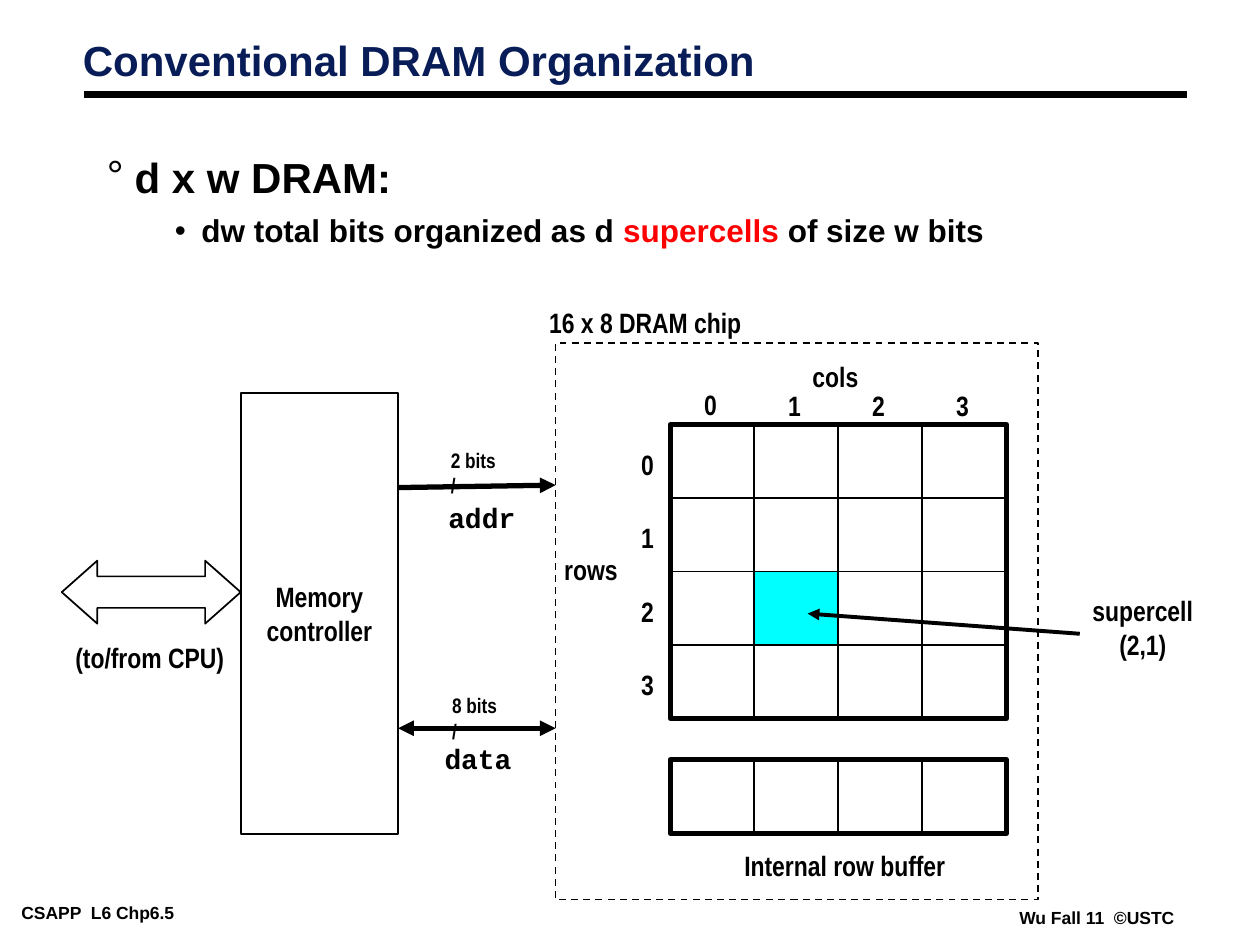
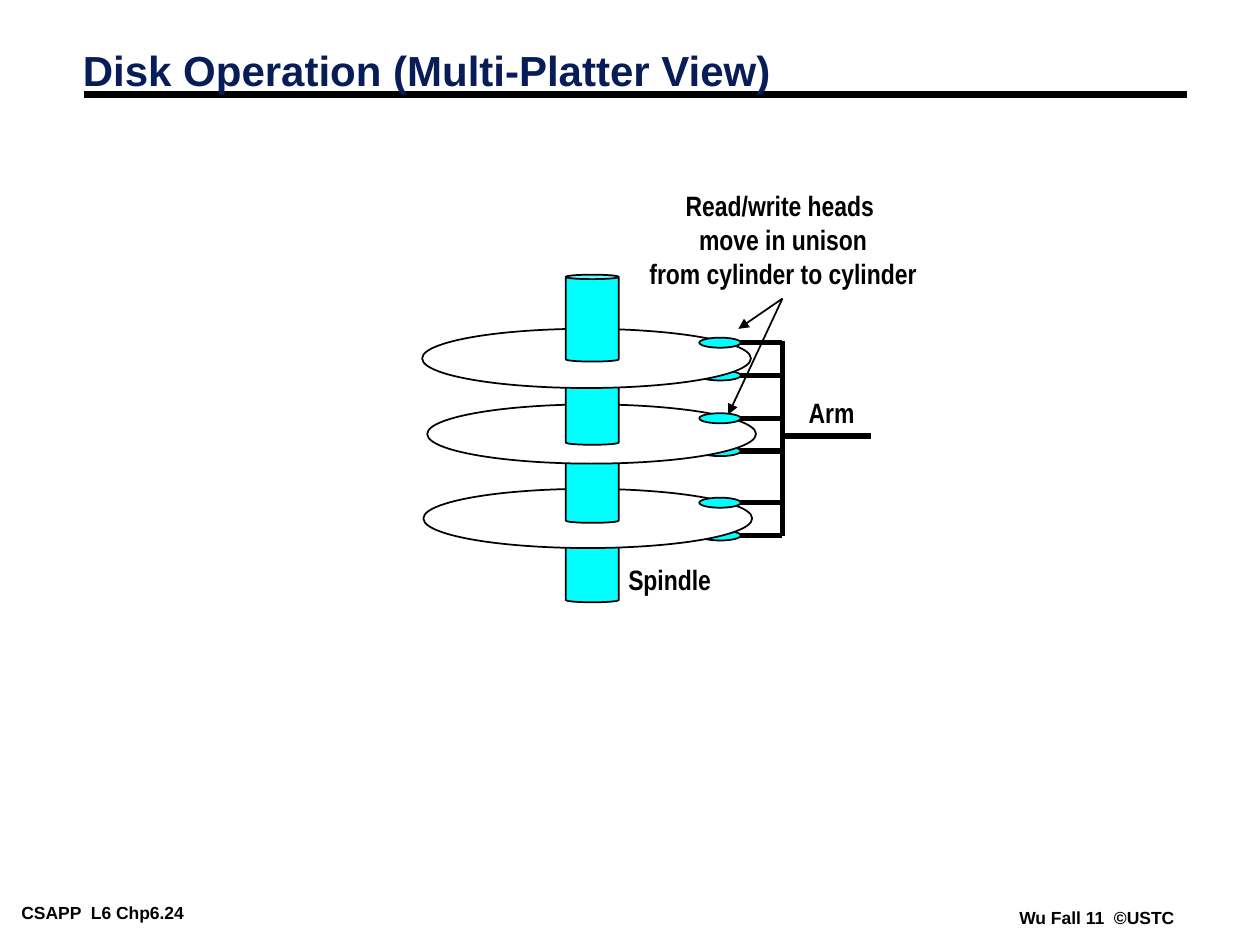
import pptx
import pptx.util
import pptx.dml.color
import pptx.enum.dml
import pptx.enum.shapes
import pptx.enum.text
import pptx.oxml.ns
from lxml import etree

Pt = pptx.util.Pt
RGBColor = pptx.dml.color.RGBColor
MSO = pptx.enum.shapes.MSO_SHAPE
ALIGN = pptx.enum.text.PP_ALIGN
ANCHOR = pptx.enum.text.MSO_ANCHOR
qn = pptx.oxml.ns.qn

BLACK = RGBColor(0x00, 0x00, 0x00)
WHITE = RGBColor(0xFF, 0xFF, 0xFF)
NAVY = RGBColor(0x08, 0x1D, 0x58)
RED = RGBColor(0xFF, 0x00, 0x00)
CYAN = RGBColor(0x00, 0xFF, 0xFF)

prs = pptx.Presentation()
prs.slide_width = pptx.util.Inches(10)
prs.slide_height = pptx.util.Inches(7.5)

# The slide is a grid of 100 columns by 75 rows
COL = prs.slide_width / 100
ROW = prs.slide_height / 75


def add_box(s, kind, x, y, w, h, text="", fill=None, line=1, size=16, font="Arial Narrow",
            color=BLACK, align=ALIGN.LEFT, anchor=ANCHOR.MIDDLE, inset=(1, 0.5), wrap=False):
    """Add a preset shape, or a text box when kind is None."""
    place = int(x * COL), int(y * ROW), int(w * COL), int(h * ROW)
    if kind is None:
        sp = s.shapes.add_textbox(*place)
    else:
        sp = s.shapes.add_shape(kind, *place)
        sp.shadow.inherit = False
        sp.line.color.rgb = BLACK
        sp.line.width = Pt(line)
        if fill is None:
            sp.fill.background()
        else:
            sp.fill.solid()
            sp.fill.fore_color.rgb = fill
    if text:
        tf = sp.text_frame
        tf.text = text
        tf.word_wrap = wrap
        tf.vertical_anchor = anchor
        tf.margin_left = tf.margin_right = int(inset[0] * COL)
        tf.margin_top = tf.margin_bottom = int(inset[1] * ROW)
        if kind is None:
            tf.auto_size = pptx.enum.text.MSO_AUTO_SIZE.SHAPE_TO_FIT_TEXT
        for p in tf.paragraphs:
            p.alignment = align
            for r in p.runs:
                r.font.name, r.font.size, r.font.bold = font, Pt(size), True
                r.font.color.rgb = color
    return sp


def add_line(s, x1, y1, x2, y2, width=3, heads=()):
    """Add a straight line; heads names the ends that carry an arrowhead."""
    c = s.shapes.add_connector(pptx.enum.shapes.MSO_CONNECTOR.STRAIGHT,
                               int(x1 * COL), int(y1 * ROW), int(x2 * COL), int(y2 * ROW))
    c.line.color.rgb = BLACK
    c.line.width = Pt(width)
    for end in heads:
        etree.SubElement(c.line._get_or_add_ln(), qn("a:" + end), type="triangle")
    etree.SubElement(c._element.spPr, qn("a:effectLst"))


# Shared frame: footers, rule and title
slides = []
for title, title_y, page in [("Conventional DRAM Organization", 2.8, "5"),
                             ("Disk Operation (Multi-Platter View)", 3.6, "24")]:
    s = prs.slides.add_slide(prs.slide_layouts[6])
    for x, y, w, footer in [(1, 71.3, 19.5, "CSAPP  L6 Chp6." + page),
                            (80.2, 71.7, 14.2, "Wu Fall 11  ©USTC")]:
        add_box(s, None, x, y, w, 2.2, footer, size=10, font="Arial",
                anchor=ANCHOR.TOP, inset=(0.7, 0.3))
    add_line(s, 6.7, 7.5, 94.2, 7.5, width=4.5)
    sp = add_box(s, None, 5.6, title_y, 83, 4.5, title, size=24, font="Arial",
                 color=NAVY, wrap=True)
    sp.text_frame.paragraphs[0].line_spacing = 0.87
    slides.append(s)
dram, disk = slides

# DRAM: bulleted text
sp = add_box(dram, None, 7.5, 12.5, 85.8, 24.2, "d x w DRAM:", size=24, font="Arial",
             anchor=ANCHOR.TOP, wrap=True)
tf = sp.text_frame
tf.auto_size = pptx.enum.text.MSO_AUTO_SIZE.NONE
p = tf.add_paragraph()
p.level = 1
for text, color in [("dw total bits organized as d ", BLACK), ("supercells", RED),
                    (" of size w bits", BLACK)]:
    r = p.add_run()
    r.text = text
    r.font.name, r.font.size, r.font.bold = "Arial", Pt(18), True
    r.font.color.rgb = color
for p, bullet, margin, hang, spacing, before in [(tf.paragraphs[0], "°", 2.2, 2.2, 0.75, 19.5),
                                                 (tf.paragraphs[1], "•", 7.5, 2.1, 0.85, 9)]:
    p.line_spacing = spacing
    p.space_before = Pt(before)
    pPr = p._p.get_or_add_pPr()
    pPr.set("marL", str(int(margin * COL)))
    pPr.set("indent", str(int(-hang * COL)))
    etree.SubElement(pPr, qn("a:buFont"), typeface="Arial")
    etree.SubElement(pPr, qn("a:buChar"), char=bullet)

# DRAM: supercell array and row buffer
GRID_X, GRID_Y, BUFFER_Y = 53.2, 33.7, 60.3
CELL_W, CELL_H, N = 6.67, 5.83, 4
for top, rows in [(GRID_Y, N), (BUFFER_Y, 1)]:
    for i in range(rows):
        for j in range(N):
            add_box(dram, MSO.RECTANGLE, GRID_X + j * CELL_W, top + i * CELL_H, CELL_W, CELL_H,
                    fill=CYAN if (i, j) == (2, 1) else WHITE)
    add_box(dram, MSO.RECTANGLE, GRID_X, top, N * CELL_W, rows * CELL_H, line=3)
for i in range(N):
    add_box(dram, None, 54.9 + i * CELL_W, 30.3 if i else 30.2, 3.4, 3.7, str(i))
    add_box(dram, None, 49.9, 35 + i * CELL_H, 3.4, 3.7, str(i))

# DRAM: chip outline, memory controller and CPU link
chip = add_box(dram, MSO.RECTANGLE, 44.1, 27.2, 38.3, 44.2)
chip.line.dash_style = pptx.enum.dml.MSO_LINE.DASH
add_box(dram, MSO.RECTANGLE, 19.1, 31.2, 12.5, 35, "Memory\ncontroller", fill=WHITE,
        align=ALIGN.CENTER)
cpu_arrow = add_box(dram, MSO.LEFT_RIGHT_ARROW, 4.9, 44.5, 14.2, 5, fill=WHITE)
cpu_arrow.adjustments[0] = 0.5
cpu_arrow.adjustments[1] = 0.564

# DRAM: buses and supercell pointer
add_line(dram, 31.6, 38.7, 44.1, 38.5, heads=["tailEnd"])
add_line(dram, 31.6, 57.8, 44.1, 57.8, heads=["headEnd", "tailEnd"])
add_line(dram, 85.7, 50.3, 64.1, 48.7, width=2.25, heads=["tailEnd"])

# DRAM: labels, each box a little wider than its text
for x, y, w, label in [(63.5, 28, 6.4, "cols"), (43.8, 43.3, 7, "rows"),
                       (42.6, 23.7, 18.2, "16 x 8 DRAM chip"),
                       (5, 50.3, 14.4, "(to/from CPU)")]:
    add_box(dram, None, x, y, w, 3.7, label)
add_box(dram, None, 57.5, 66.8, 19.1, 3.7, "Internal row buffer", align=ALIGN.CENTER)
add_box(dram, None, 85.2, 46.6, 11, 6.4, "supercell\n(2,1)", align=ALIGN.CENTER)
for x, y, bus in [(34.6, 39.2, "addr"), (34.3, 58.3, "data")]:
    add_box(dram, None, x, y, 8, 3.7, bus, font="Courier New")
for x, y, bits in [(34.8, 35, "2 bits\n/"), (34.9, 54.5, "8 bits\n/")]:
    add_box(dram, None, x, y, 6.4, 5, bits, size=12)

# Disk: platters from the bottom up, each with a head below and one above
ARM_X = 62.1
for platter_x, platter_y, spindle_y in [(33.6, 38.8, 40.9), (33.9, 32.1, 34.6),
                                        (33.5, 26.1, 28.4), (None, None, 21.8)]:
    for offset in (3.3, 0.7):
        if platter_y is not None:
            head_y = platter_y + offset
            add_line(disk, ARM_X, head_y + 0.4, 57.1, head_y + 0.4)
            add_box(disk, MSO.OVAL, 55.5, head_y, 3.3, 0.8, fill=CYAN)
        if offset == 3.3:
            spindle = add_box(disk, MSO.CAN, 44.9, spindle_y, 4.2, 6.9, fill=CYAN)
            spindle.adjustments[0] = 0.085
            if platter_y is not None:
                add_box(disk, MSO.OVAL, platter_x, platter_y, 26.1, 4.7, fill=WHITE)

# Disk: arm and pointers to the heads
add_line(disk, ARM_X, 27.1, ARM_X, 42.5)
add_line(disk, ARM_X, 34.6, 69.1, 34.6)
for x, y in [(58.6, 26.1), (57.8, 32.9)]:
    add_line(disk, ARM_X, 23.7, x, y, width=1, heads=["tailEnd"])

# Disk: labels
add_box(disk, None, 63.2, 30.9, 6.4, 3.7, "Arm")
add_box(disk, None, 48.3, 44.1, 9.7, 3.7, "Spindle", align=ALIGN.CENTER)
add_box(disk, None, 50.1, 14.5, 24.1, 9,
        "Read/write heads \nmove in unison\nfrom cylinder to cylinder",
        align=ALIGN.CENTER, wrap=True)

prs.save("out.pptx")
